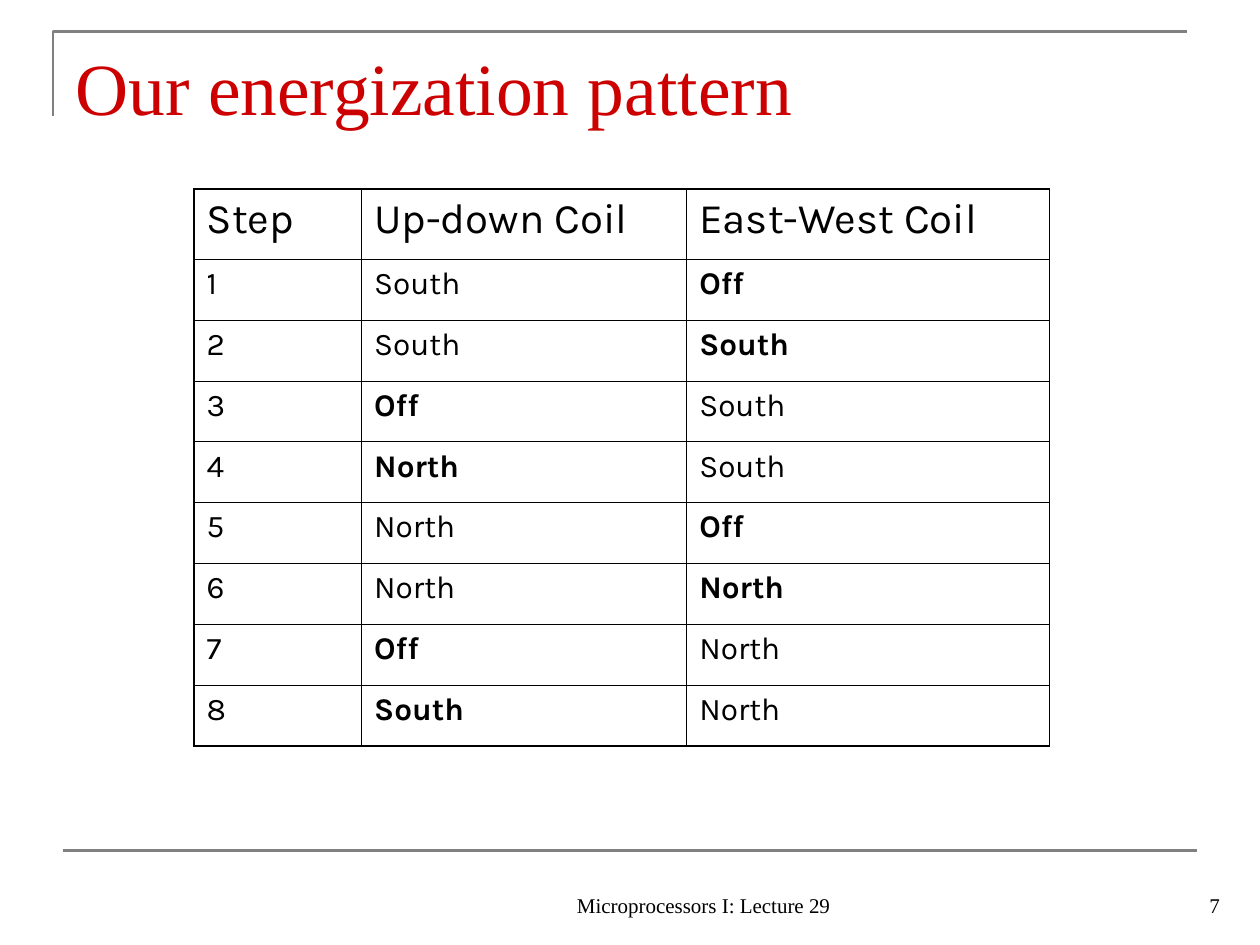
from lxml.etree import SubElement
from pptx import Presentation
from pptx.dml.color import RGBColor
from pptx.enum.shapes import MSO_CONNECTOR
from pptx.enum.text import MSO_ANCHOR, PP_ALIGN
from pptx.oxml import parse_xml
from pptx.oxml.ns import nsdecls, qn
from pptx.util import Inches, Pt

TITLE = "Our energization pattern"
FOOTER = "Microprocessors I: Lecture 29"
PAGE = "7"
HEADINGS = ["Step", "Up-down Coil", "East-West Coil"]
COILS = [  # up-down, east-west for each step
    ("South", "Off"),
    ("South", "South"),
    ("Off", "South"),
    ("North", "South"),
    ("North", "Off"),
    ("North", "North"),
    ("Off", "North"),
    ("South", "North"),
]
COLORS = {"title": "CC0000", "text": "000000", "rule": "808080"}
SERIF, SANS = "Times New Roman", "Karla"

LEFT, TOP, HEIGHT = 1.54, 1.5, 4.42
COLUMN_WIDTHS = [1.33, 2.58, 2.88]
HEADING_HEIGHT = 0.56
OUTER, INNER = 1.08, 0.45  # border widths in points


def style(paragraph, font_name, size, color, bold=False):
    font = paragraph.font
    font.name, font.size, font.bold = font_name, Pt(size), bold
    font.color.rgb = RGBColor.from_string(COLORS[color])


def add_text(slide, text, box, size, color="text", align=PP_ALIGN.LEFT):
    frame = slide.shapes.add_textbox(*map(Inches, box)).text_frame
    frame.word_wrap = True
    frame.vertical_anchor = MSO_ANCHOR.BOTTOM
    paragraph = frame.paragraphs[0]
    paragraph.text, paragraph.alignment = text, align
    style(paragraph, SERIF, size, color)


def style_rule(shape):
    shape.line.color.rgb = RGBColor.from_string(COLORS["rule"])
    shape.line.width = Pt(1.5)


def set_borders(cell, widths):
    """Draw the left, right, top and bottom borders, widths in points."""
    properties = cell._tc.get_or_add_tcPr()
    for index, (side, width) in enumerate(zip("LRTB", widths)):
        properties.insert(index, parse_xml(
            f'<a:ln{side} {nsdecls("a")} w="{Pt(width)}"><a:solidFill>'
            f'<a:srgbClr val="{COLORS["text"]}"/></a:solidFill></a:ln{side}>'))


def add_rules(slide):
    builder = slide.shapes.build_freeform(Inches(0.42), Inches(0.92))
    builder.add_line_segments(
        [(Inches(0.42), Inches(0.25)), (Inches(9.42), Inches(0.25))], close=False)
    corner = builder.convert_to_shape()
    corner.shadow.inherit = False
    corner.fill.background()
    style_rule(corner)

    footer_rule = slide.shapes.add_connector(
        MSO_CONNECTOR.STRAIGHT, Inches(0.5), Inches(6.75), Inches(9.5), Inches(6.75))
    SubElement(footer_rule._element.spPr, qn("a:effectLst"))
    style_rule(footer_rule)


def add_pattern_table(slide):
    rows = [HEADINGS] + [(str(step), *coils) for step, coils in enumerate(COILS, 1)]
    last_row, last_column = len(rows) - 1, len(HEADINGS) - 1
    table = slide.shapes.add_table(
        len(rows), len(HEADINGS), Inches(LEFT), Inches(TOP),
        Inches(sum(COLUMN_WIDTHS)), Inches(HEIGHT)).table
    table.first_row = table.horz_banding = False
    for column, width in zip(table.columns, COLUMN_WIDTHS):
        column.width = Inches(width)

    step_height = (HEIGHT - HEADING_HEIGHT) / len(COILS)
    for r, values in enumerate(rows):
        table.rows[r].height = Inches(step_height if r else HEADING_HEIGHT)
        for c, value in enumerate(values):
            # A coil is bold where it differs from the step before, in a cycle
            changed = r > 0 and c > 0 and value != COILS[r - 2][c - 1]
            cell = table.cell(r, c)
            cell.fill.background()
            paragraph = cell.text_frame.paragraphs[0]
            paragraph.text = value
            style(paragraph, SANS, 18 if r else 24, "text", changed)
            edges = (c == 0, c == last_column, r == 0, r == last_row)
            set_borders(cell, [OUTER if edge else INNER for edge in edges])


def main():
    deck = Presentation()
    deck.slide_width, deck.slide_height = Inches(10), Inches(7.5)
    slide = deck.slides.add_slide(deck.slide_layouts[6])
    add_rules(slide)
    add_text(slide, FOOTER, (4, 6.83, 3.17, 0.5), 12, align=PP_ALIGN.CENTER)
    add_text(slide, PAGE, (7.7, 6.83, 2.08, 0.5), 12, align=PP_ALIGN.RIGHT)
    add_text(slide, TITLE, (0.5, 0.23, 9.28, 0.85), 42, "title")
    add_pattern_table(slide)
    deck.save("out.pptx")


if __name__ == "__main__":
    main()
